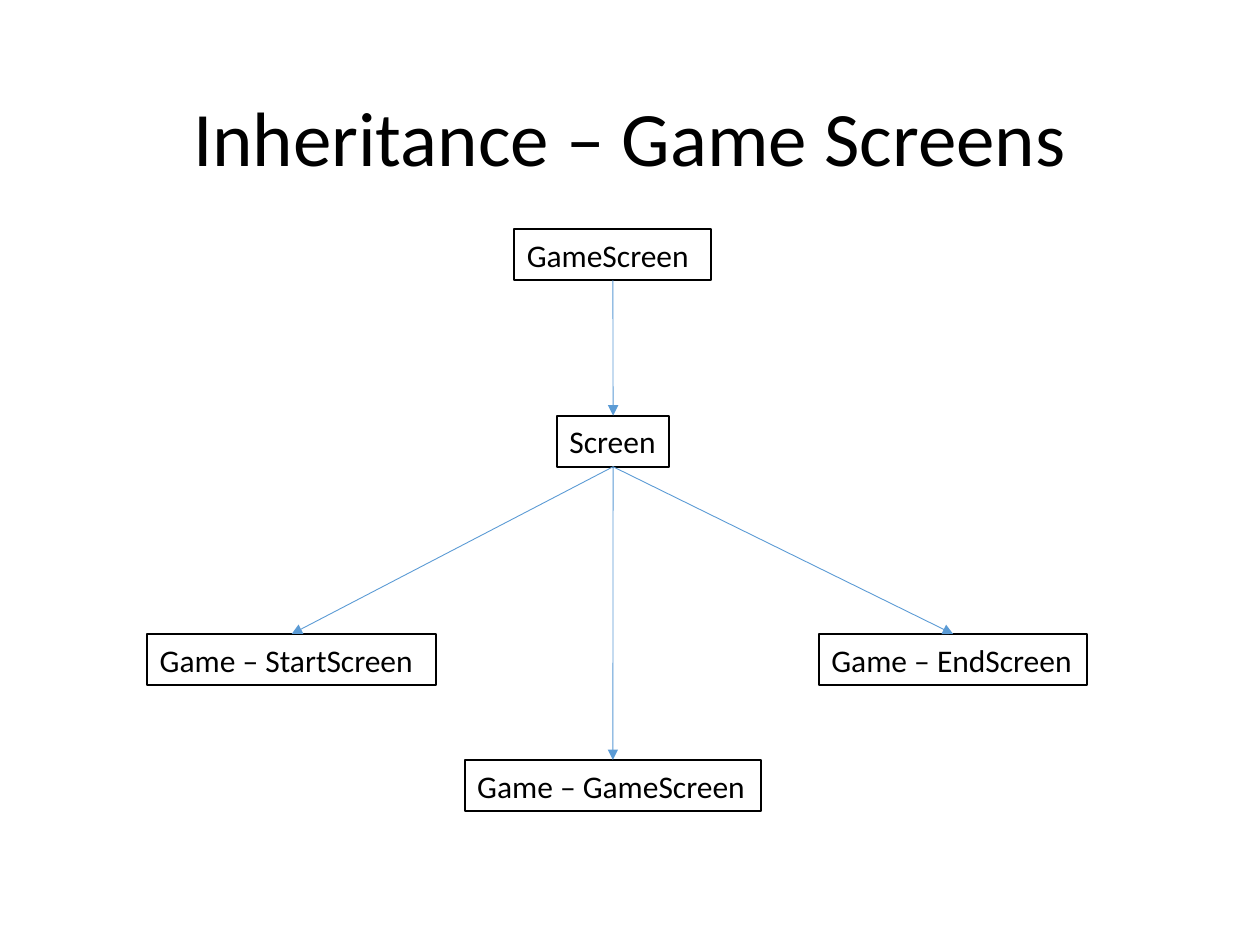
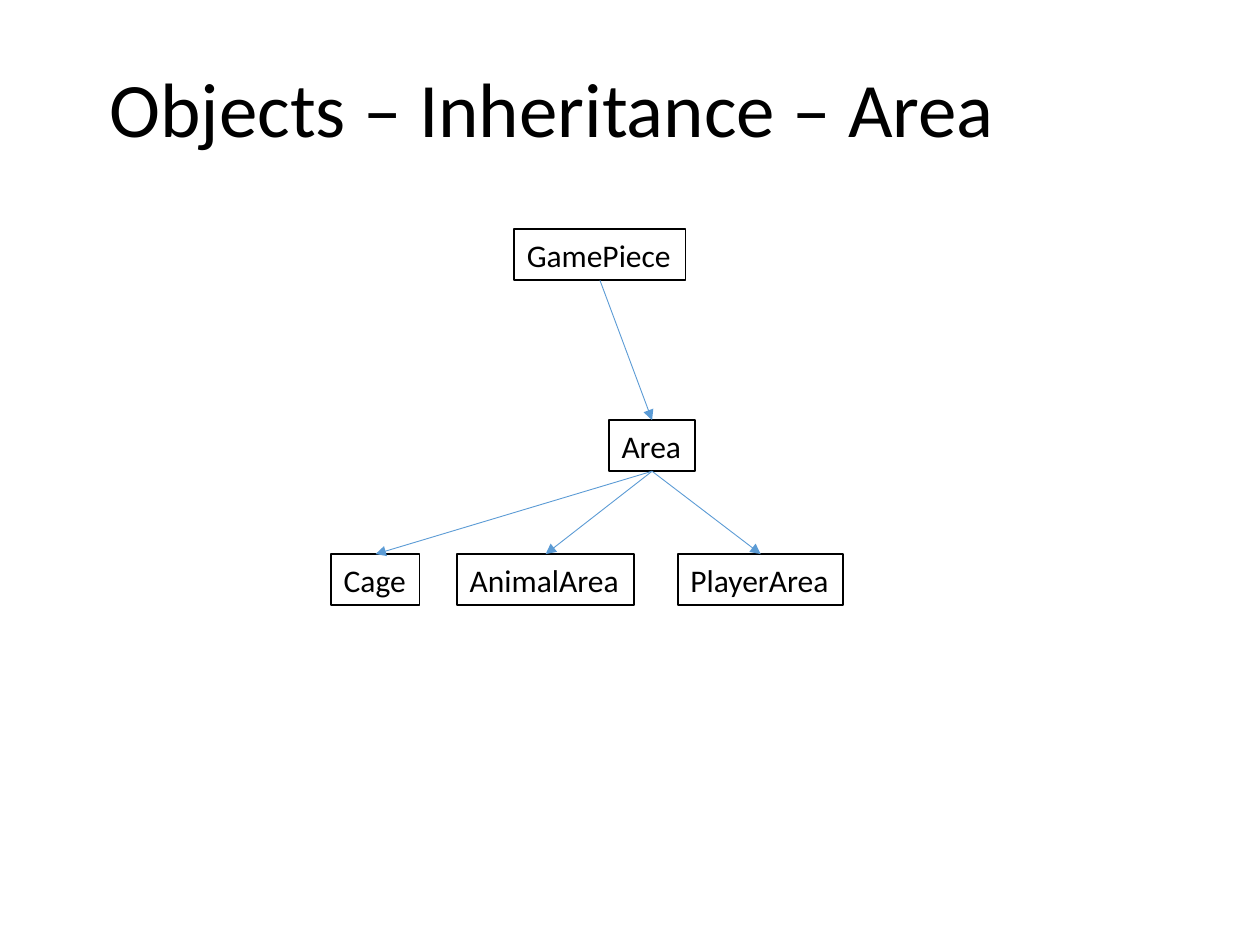
from dataclasses import dataclass
from typing import NamedTuple

from lxml.etree import SubElement
from pptx import Presentation
from pptx.dml.color import RGBColor
from pptx.enum.shapes import MSO_CONNECTOR, MSO_SHAPE
from pptx.enum.text import MSO_ANCHOR, PP_ALIGN
from pptx.oxml.ns import qn
from pptx.util import Cm, Pt


@dataclass(frozen=True)
class Theme:
    font: str = "Calibri"
    ink: RGBColor = RGBColor(0x00, 0x00, 0x00)
    paper: RGBColor = RGBColor(0xFF, 0xFF, 0xFF)
    arrow: RGBColor = RGBColor(0x5B, 0x9B, 0xD5)
    title_size: Pt = Pt(44)
    class_size: Pt = Pt(18)
    border: Pt = Pt(1)
    arrow_width: Pt = Pt(0.5)


class ClassBox(NamedTuple):
    """A class name with its place in the diagram, in centimetres."""
    name: str
    x: float
    y: float
    width: float


THEME = Theme()
TITLE_WIDTH, TITLE_HEIGHT = 21.9, 3.68
CLASS_HEIGHT = 1.03
TOP_SITE, BOTTOM_SITE = 0, 2


def style_text(paragraph, size, align):
    paragraph.alignment = align
    paragraph.font.name = THEME.font
    paragraph.font.size = size
    paragraph.font.color.rgb = THEME.ink


def add_title(slide, text, left, top, align):
    title = slide.shapes.add_textbox(
        Cm(left), Cm(top), Cm(TITLE_WIDTH), Cm(TITLE_HEIGHT))
    frame = title.text_frame
    frame.word_wrap = True
    frame.vertical_anchor = MSO_ANCHOR.MIDDLE
    frame.text = text
    frame.paragraphs[0].line_spacing = 0.9
    style_text(frame.paragraphs[0], THEME.title_size, align)


def add_class(slide, left, top, item):
    box = slide.shapes.add_shape(
        MSO_SHAPE.RECTANGLE, Cm(left + item.x), Cm(top + item.y),
        Cm(item.width), Cm(CLASS_HEIGHT))
    box.shadow.inherit = False
    box.fill.solid()
    box.fill.fore_color.rgb = THEME.paper
    box.line.color.rgb = THEME.ink
    box.line.width = THEME.border
    frame = box.text_frame
    frame.word_wrap = True
    frame.margin_right = 0  # the names fill their boxes closely
    frame.vertical_anchor = MSO_ANCHOR.MIDDLE
    frame.text = item.name
    style_text(frame.paragraphs[0], THEME.class_size, PP_ALIGN.LEFT)
    return box


def add_arrow(slide, parent, child):
    arrow = slide.shapes.add_connector(MSO_CONNECTOR.STRAIGHT, 0, 0, 0, 0)
    arrow.begin_connect(parent, BOTTOM_SITE)
    arrow.end_connect(child, TOP_SITE)
    arrow.line.color.rgb = THEME.arrow
    arrow.line.width = THEME.arrow_width
    SubElement(arrow.line._get_or_add_ln(), qn("a:tailEnd"), type="triangle")
    SubElement(arrow._element.spPr, qn("a:effectLst"))


def add_class_tree(slide, left, top, root, base, subclasses):
    """Draw root above base, and base above its subclasses."""
    root_box, base_box, *sub_boxes = [
        add_class(slide, left, top, item) for item in (root, base, *subclasses)]
    add_arrow(slide, root_box, base_box)
    for sub_box in sub_boxes:
        add_arrow(slide, base_box, sub_box)


def build_game_screens(slide):
    add_title(slide, "Inheritance – Game Screens", 1.75, 1.02, PP_ALIGN.CENTER)
    add_class_tree(
        slide, 2.97, 4.62,
        root=ClassBox("GameScreen", 7.4, 0, 3.97),
        base=ClassBox("Screen", 8.26, 3.76, 2.26),
        subclasses=[
            ClassBox("Game – StartScreen", 0, 8.16, 5.82),
            ClassBox("Game – GameScreen", 6.4, 10.7, 5.97),
            ClassBox("Game – EndScreen", 13.54, 8.16, 5.41),
        ])


def build_areas(slide):
    add_title(slide, "Objects – Inheritance – Area", 1.96, 0.43, PP_ALIGN.LEFT)
    add_class_tree(
        slide, 6.68, 4.62,
        root=ClassBox("GamePiece", 3.69, 0, 3.45),
        base=ClassBox("Area", 5.6, 3.85, 1.73),
        subclasses=[
            ClassBox("Cage", 0, 6.55, 1.78),
            ClassBox("AnimalArea", 2.54, 6.55, 3.56),
            ClassBox("PlayerArea", 6.99, 6.55, 3.33),
        ])


def main():
    deck = Presentation()
    deck.slide_width, deck.slide_height = Cm(25.4), Cm(19.05)
    blank = deck.slide_layouts[6]
    for build in (build_game_screens, build_areas):
        build(deck.slides.add_slide(blank))
    deck.save("out.pptx")


if __name__ == "__main__":
    main()
